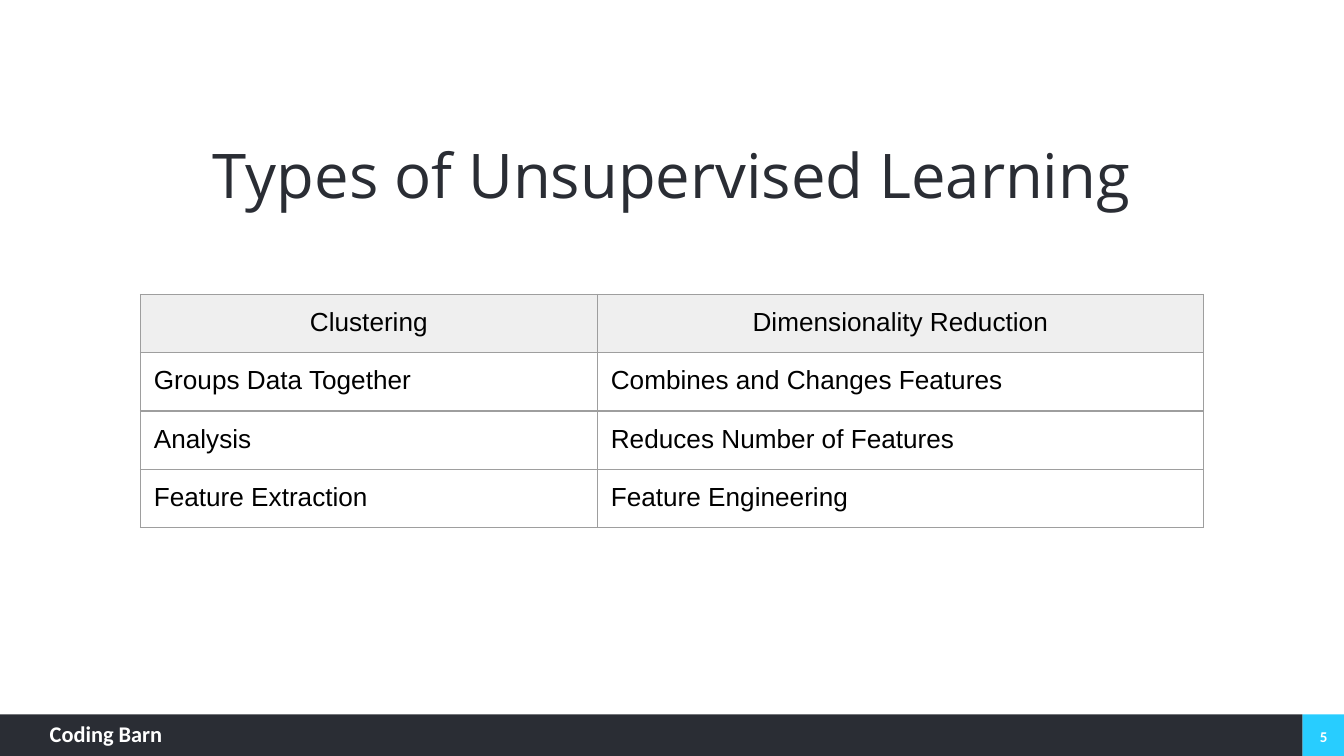
from dataclasses import dataclass

from lxml.etree import SubElement
from pptx import Presentation
from pptx.dml.color import RGBColor
from pptx.enum.shapes import MSO_SHAPE as Preset
from pptx.enum.text import MSO_ANCHOR as Anchor, PP_ALIGN as Align
from pptx.oxml.ns import qn
from pptx.util import Inches, Pt

WIDTH = 10
HEIGHT = WIDTH * 9 / 16
FOOTER_HEIGHT = 0.31
FOOTER_TOP = HEIGHT - FOOTER_HEIGHT
FOOTER_SPLIT = WIDTH - FOOTER_HEIGHT

WHITE = RGBColor(0xFF, 0xFF, 0xFF)
BLACK = RGBColor(0x00, 0x00, 0x00)
DARK = RGBColor(0x2A, 0x2D, 0x34)
CYAN = RGBColor(0x28, 0xCD, 0xFF)
HEADER_GREY = RGBColor(0xEF, 0xEF, 0xEF)
BORDER_GREY = RGBColor(0x9E, 0x9E, 0x9E)

TITLE_FONT = dict(name="Open Sans", size=Pt(33), color=DARK)
BRAND_FONT = dict(name="Calibri", size=Pt(12), color=WHITE, bold=True)
NUMBER_FONT = dict(BRAND_FONT, size=Pt(8))
TABLE_FONT = dict(name="Arial", size=Pt(14), color=BLACK, bold=False)

ROWS = [
    ("Clustering", "Dimensionality Reduction"),
    ("Groups Data Together", "Combines and Changes Features"),
    ("Analysis", "Reduces Number of Features"),
    ("Feature Extraction", "Feature Engineering"),
]
COLUMN_WIDTHS = (3.4, 4.51)
ROW_HEIGHT = 5 / 12
TABLE_TOP = 2.19
CELL_MARGIN = 0.1
MARGINS = ("margin_left", "margin_right", "margin_top", "margin_bottom")


@dataclass(frozen=True)
class Box:
    """A rectangle in inches."""
    left: float
    top: float
    width: float
    height: float

    def lengths(self) -> list:
        """Return the four values as lengths."""
        return [Inches(v) for v in (self.left, self.top, self.width, self.height)]


@dataclass(frozen=True)
class Label:
    """A line of text with its place and format."""
    text: str
    box: Box
    font: dict
    align: Align = Align.CENTER
    anchor: Anchor = Anchor.MIDDLE
    inset_x: float = 0
    inset_y: float = 0


BARS = [
    (Box(FOOTER_SPLIT, FOOTER_TOP, FOOTER_HEIGHT, FOOTER_HEIGHT), CYAN),
    (Box(0, FOOTER_TOP, FOOTER_SPLIT, FOOTER_HEIGHT), DARK),
]
LABELS = [
    Label("Coding Barn", Box(0.37, 5.36, 1.57, 0.23), BRAND_FONT, Align.LEFT, Anchor.TOP),
    Label("5", Box(9.7, 5.33, 0.3, 0.3), NUMBER_FONT, inset_x=0.07, inset_y=0.04),
    Label("Types of Unsupervised Learning", Box(0.73, 0.94, 8.54, 0.65), TITLE_FONT,
          anchor=Anchor.BOTTOM, inset_x=0.02, inset_y=0.02),
]


def write_text(frame, text: str, font: dict, align: Align) -> None:
    """Put one formatted line into a text frame."""
    paragraph = frame.paragraphs[0]
    paragraph.alignment = align
    run = paragraph.add_run()
    run.text = text
    for name, value in font.items():
        if name == "color":
            run.font.color.rgb = value
        else:
            setattr(run.font, name, value)
    ending = SubElement(paragraph._p, qn("a:endParaRPr"), sz=str(int(font["size"].pt * 100)))
    SubElement(ending, qn("a:latin"), typeface=font["name"])


def add_bar(slide, box: Box, color: RGBColor) -> None:
    """Draw a plain filled rectangle."""
    shape = slide.shapes.add_shape(Preset.RECTANGLE, *box.lengths())
    shape.shadow.inherit = False
    shape.fill.solid()
    shape.fill.fore_color.rgb = color
    shape.line.fill.background()


def add_label(slide, label: Label) -> None:
    """Draw a wrapped text box."""
    frame = slide.shapes.add_textbox(*label.box.lengths()).text_frame
    frame.word_wrap = True
    frame.vertical_anchor = label.anchor
    for margin, inset in zip(MARGINS, [label.inset_x] * 2 + [label.inset_y] * 2):
        setattr(frame, margin, Inches(inset))
    write_text(frame, label.text, label.font, label.align)


def add_borders(cell) -> None:
    """Give a cell a thin grey line on all four sides."""
    properties = cell._tc.get_or_add_tcPr()
    for side in ("a:lnL", "a:lnR", "a:lnT", "a:lnB"):
        line = SubElement(properties, qn(side), w=str(Pt(0.75)))
        fill = SubElement(line, qn("a:solidFill"))
        SubElement(fill, qn("a:srgbClr"), val=str(BORDER_GREY))


def add_comparison(slide) -> None:
    """Draw the table, centred across the slide."""
    width = sum(COLUMN_WIDTHS)
    box = Box((WIDTH - width) / 2, TABLE_TOP, width, ROW_HEIGHT * len(ROWS))
    table = slide.shapes.add_table(len(ROWS), len(COLUMN_WIDTHS), *box.lengths()).table
    table.first_row = table.horz_banding = False
    for column, column_width in zip(table.columns, COLUMN_WIDTHS):
        column.width = Inches(column_width)
    for row_index, texts in enumerate(ROWS):
        is_header = row_index == 0
        table.rows[row_index].height = Inches(ROW_HEIGHT)
        for column_index, text in enumerate(texts):
            cell = table.cell(row_index, column_index)
            for margin in MARGINS:
                setattr(cell, margin, Inches(CELL_MARGIN))
            add_borders(cell)
            if is_header:
                cell.fill.solid()
                cell.fill.fore_color.rgb = HEADER_GREY
            else:
                cell.fill.background()
            write_text(cell.text_frame, text, TABLE_FONT,
                       Align.CENTER if is_header else Align.LEFT)


def main() -> None:
    """Build and save the slide."""
    presentation = Presentation()
    presentation.slide_width, presentation.slide_height = Inches(WIDTH), Inches(HEIGHT)
    slide = presentation.slides.add_slide(presentation.slide_layouts[6])
    for box, color in BARS:
        add_bar(slide, box, color)
    for label in LABELS:
        add_label(slide, label)
    add_comparison(slide)
    presentation.save("out.pptx")


main()
